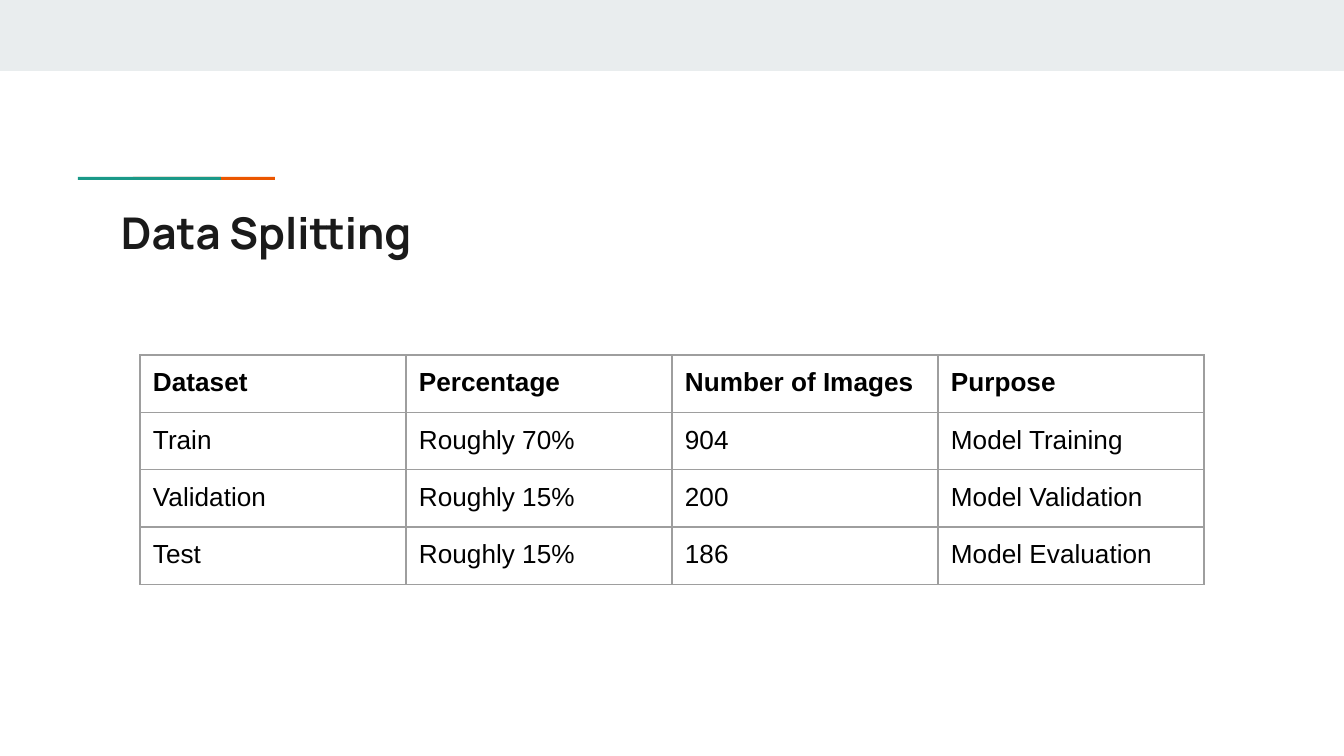
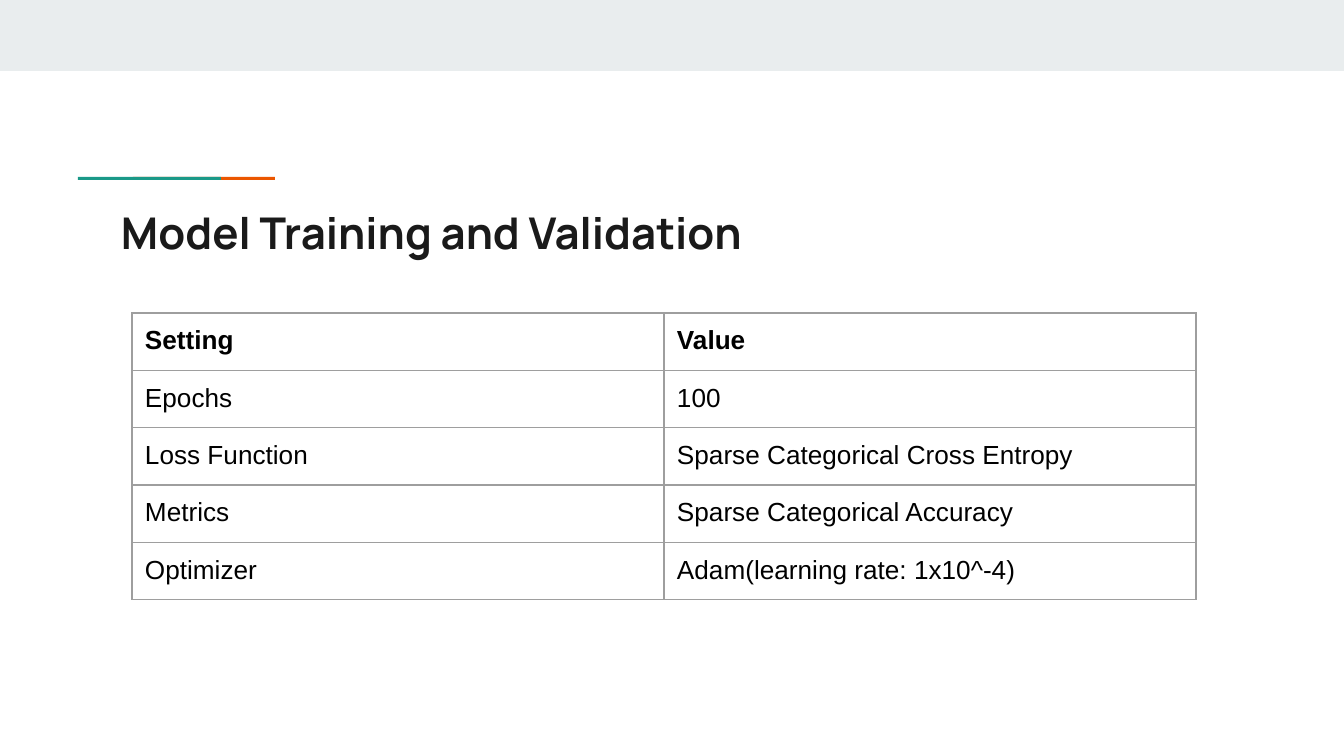
from lxml import etree
from pptx import Presentation
from pptx import util as u
from pptx.dml.color import RGBColor
from pptx.enum import shapes, text
from pptx.oxml.ns import qn

# Content: title, table left and top in px, rows with the header first
SLIDES = [
    ("Data Splitting", 140, 355, [
        ("Dataset", "Percentage", "Number of Images", "Purpose"),
        ("Train", "Roughly 70%", "904", "Model Training"),
        ("Validation", "Roughly 15%", "200", "Model Validation"),
        ("Test", "Roughly 15%", "186", "Model Evaluation"),
    ]),
    ("Model Training and Validation", 132, 313, [
        ("Setting", "Value"),
        ("Epochs", "100"),
        ("Loss Function", "Sparse Categorical Cross Entropy"),
        ("Metrics", "Sparse Categorical Accuracy"),
        ("Optimizer", "Adam(learning rate: 1x10^-4)"),
    ]),
]

# Shared look
BAND = RGBColor(0xE9, 0xED, 0xEE)
ORANGE = RGBColor(0xEB, 0x56, 0x00)
GREEN = RGBColor(0x1A, 0x99, 0x88)
INK = RGBColor(0x1A, 0x1A, 0x1A)
BLACK = RGBColor(0x00, 0x00, 0x00)
GRID = RGBColor(0x9E, 0x9E, 0x9E)

WIDTH, HEIGHT = 1344, 756
TABLE_W, ROW_H, INSET = 1064, 56, 13


def px(n):
    return u.Emu(round(n * 914400 / 134.4))


def set_insets(obj):
    obj.margin_left = obj.margin_right = px(INSET)
    obj.margin_top = obj.margin_bottom = px(INSET)


def style_font(p, name, size, color, bold):
    for r in p.runs:
        r.font.name = name
        r.font.size = u.Pt(size)
        r.font.color.rgb = color
        r.font.bold = bold


def add_bar(s, x, y, w, h, color):
    sp = s.shapes.add_shape(shapes.MSO_SHAPE.RECTANGLE, px(x), px(y), px(w), px(h))
    sp.shadow.inherit = False
    sp.fill.solid()
    sp.fill.fore_color.rgb = color
    sp.line.fill.background()


def add_frame(s, title):
    # Top band, two-colour accent and title
    add_bar(s, 0, 0, WIDTH, 71, BAND)
    add_bar(s, 133, 177, 142, 3, ORANGE)
    add_bar(s, 78, 177, 143, 3, GREEN)
    tf = s.shapes.add_textbox(px(108), px(193), px(1130), px(79)).text_frame
    tf.word_wrap = True
    tf.vertical_anchor = text.MSO_ANCHOR.TOP
    set_insets(tf)
    tf.text = title
    style_font(tf.paragraphs[0], "Manrope", 23.4, INK, True)


def set_borders(cell):
    tc_pr = cell._tc.get_or_add_tcPr()
    for i, side in enumerate(("lnL", "lnR", "lnT", "lnB")):
        ln = etree.Element(qn("a:" + side), w=str(u.Pt(0.75)))
        fill = etree.SubElement(ln, qn("a:solidFill"))
        etree.SubElement(fill, qn("a:srgbClr"), val=str(GRID))
        tc_pr.insert(i, ln)


def add_grid(s, x, y, rows):
    n_rows, n_cols = len(rows), len(rows[0])
    table = s.shapes.add_table(n_rows, n_cols, px(x), px(y),
                               px(TABLE_W), px(ROW_H * n_rows)).table
    table.first_row = table.horz_banding = False
    for col in table.columns:
        col.width = px(TABLE_W / n_cols)
    for i, row in enumerate(rows):
        table.rows[i].height = px(ROW_H)
        for j, value in enumerate(row):
            cell = table.cell(i, j)
            set_insets(cell)
            cell.fill.background()
            set_borders(cell)
            cell.text_frame.text = value
            style_font(cell.text_frame.paragraphs[0], "Arial", 14, BLACK, i == 0)


def main():
    prs = Presentation()
    prs.slide_width, prs.slide_height = px(WIDTH), px(HEIGHT)
    for title, x, y, rows in SLIDES:
        s = prs.slides.add_slide(prs.slide_layouts[6])
        add_frame(s, title)
        add_grid(s, x, y, rows)
    prs.save("out.pptx")


if __name__ == "__main__":
    main()
